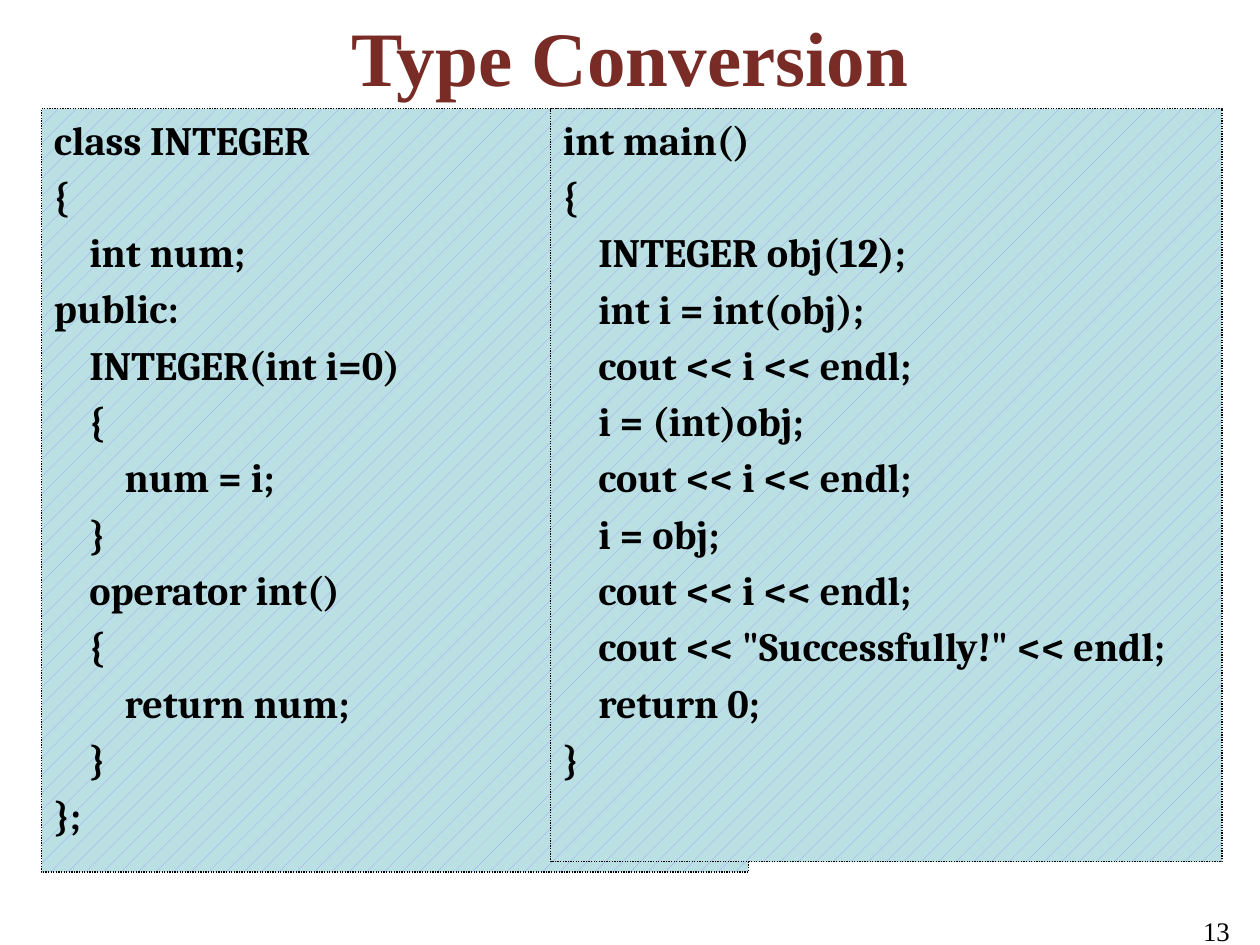
from pptx import Presentation
from pptx.dml.color import RGBColor
from pptx.enum.dml import MSO_LINE, MSO_PATTERN
from pptx.enum.shapes import MSO_SHAPE
from pptx.enum.text import MSO_ANCHOR, PP_ALIGN
from pptx.oxml.ns import qn
from pptx.util import Inches, Pt
from lxml.etree import SubElement

COLORS = {"text": "000000", "title": "792B25", "hatch": "9999FF", "panel": "BBE0E3"}
WIDTH, HEIGHT = 10, 7.5

CLASS_CODE = """class INTEGER
{
    int num;
public:
    INTEGER(int i=0)
    {
        num = i;
    }
    operator int()
    {
        return num;
    }
};"""

MAIN_CODE = """int main()
{
    INTEGER obj(12);
    int i = int(obj);
    cout << i << endl;
    i = (int)obj;
    cout << i << endl;
    i = obj;
    cout << i << endl;
    cout << "Successfully!" << endl;
    return 0;
}"""


def place(left, top, width, height):
    return (Inches(left * WIDTH), Inches(top * HEIGHT),
            Inches(width * WIDTH), Inches(height * HEIGHT))


def add_run(paragraph, text, size, font, color, bold):
    run = paragraph.add_run()
    run.text = text
    run.font.size = Pt(size)
    run.font.name = font
    run.font.bold = bold
    run.font.color.rgb = RGBColor.from_string(COLORS[color])


presentation = Presentation()
presentation.slide_width = Inches(WIDTH)
presentation.slide_height = Inches(HEIGHT)
slide = presentation.slides.add_slide(presentation.slide_layouts[6])

labels = [
    ("13", (0.736, 0.961, 0.25, 0.07), PP_ALIGN.RIGHT, MSO_ANCHOR.TOP, 15.3, "text", False),
    ("Type Conversion", (0.033, 0.007, 0.934, 0.105), PP_ALIGN.CENTER, MSO_ANCHOR.MIDDLE,
     44, "title", True),
]
for text, box, alignment, anchor, size, color, bold in labels:
    shape = slide.shapes.add_textbox(*place(*box))
    shape.text_frame.word_wrap = True
    shape.text_frame.vertical_anchor = anchor
    paragraph = shape.text_frame.paragraphs[0]
    paragraph.alignment = alignment
    add_run(paragraph, text, size, "Times New Roman", color, bold)

panels = [
    (CLASS_CODE, (0.033, 0.115, 0.561, 0.808)),
    (MAIN_CODE, (0.437, 0.115, 0.533, 0.797)),
]
for code, box in panels:
    shape = slide.shapes.add_shape(MSO_SHAPE.RECTANGLE, *place(*box))
    shape.shadow.inherit = False
    shape.fill.patterned()
    shape.fill.pattern = MSO_PATTERN.PERCENT_5
    shape.fill.fore_color.rgb = RGBColor.from_string(COLORS["hatch"])
    shape.fill.back_color.rgb = RGBColor.from_string(COLORS["panel"])
    shape.line.color.rgb = RGBColor.from_string(COLORS["text"])
    shape.line.width = Pt(0.75)
    shape.line.dash_style = MSO_LINE.ROUND_DOT
    text_frame = shape.text_frame
    text_frame.word_wrap = True
    text_frame.vertical_anchor = MSO_ANCHOR.TOP
    for index, line in enumerate(code.split("\n")):
        paragraph = text_frame.add_paragraph() if index else text_frame.paragraphs[0]
        paragraph.alignment = PP_ALIGN.LEFT
        if index:
            properties = paragraph._p.get_or_add_pPr()
            spacing = SubElement(properties, qn("a:spcBef"))
            SubElement(spacing, qn("a:spcPct")).set("val", "20000")
        add_run(paragraph, line, 23, "Cambria", "text", True)

presentation.save("out.pptx")
